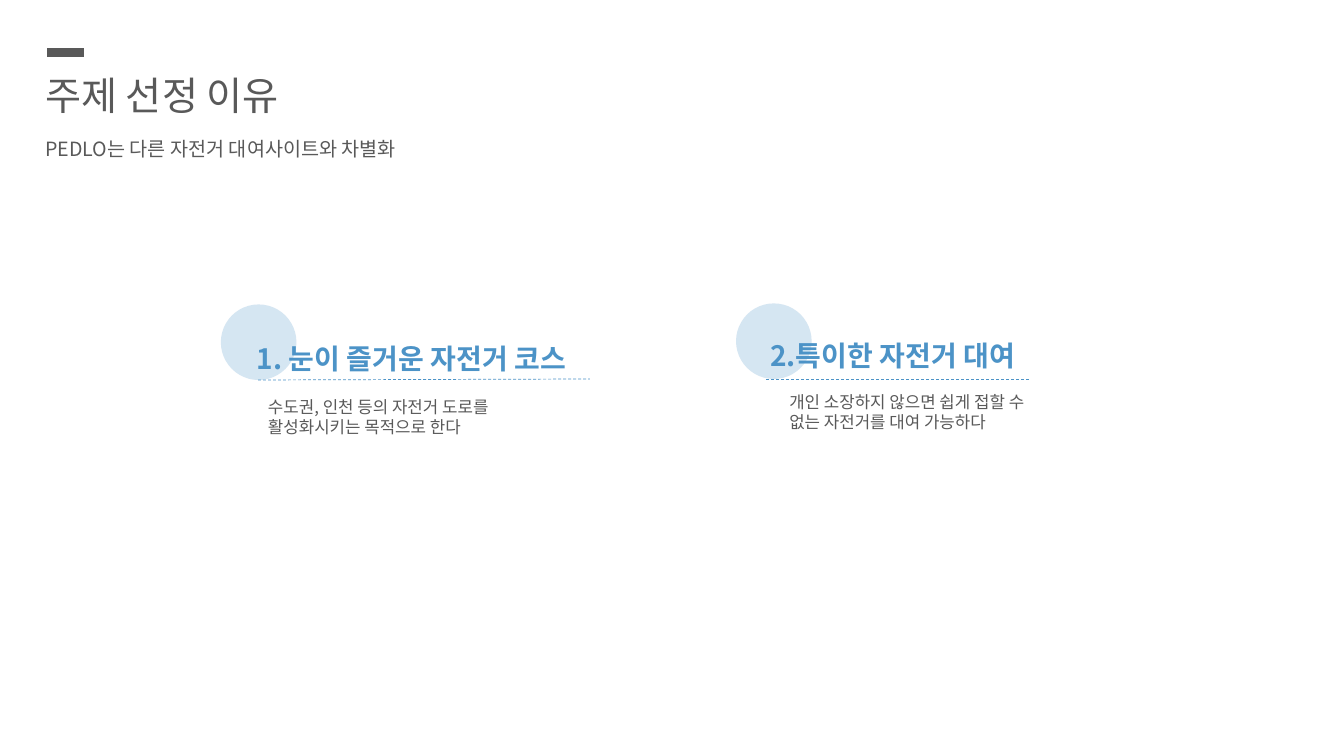
from pptx import Presentation
from pptx.dml.color import RGBColor
from pptx.enum.dml import MSO_LINE
from pptx.enum.shapes import MSO_CONNECTOR, MSO_SHAPE
from pptx.enum.text import MSO_AUTO_SIZE
from pptx.oxml.ns import qn
from pptx.util import Inches, Pt
from lxml.etree import SubElement

COLORS = {"gray": "595959", "blue": "4C93C7"}
FONT = "Noto Sans CJK KR"


def add_text(slide, box, text, size, color, bold=False):
    shape = slide.shapes.add_textbox(*map(Inches, box))
    frame = shape.text_frame
    frame.word_wrap = True
    frame.auto_size = MSO_AUTO_SIZE.SHAPE_TO_FIT_TEXT
    run = frame.paragraphs[0].add_run()
    run.text = text
    font = run.font
    font.size = Pt(size)
    font.bold = bold
    font.color.rgb = RGBColor.from_string(COLORS[color])
    font.name = FONT
    SubElement(run._r.get_or_add_rPr(), qn("a:ea"), typeface=FONT)


def add_line(slide, start, end, color, width, dash=None):
    line = slide.shapes.add_connector(
        MSO_CONNECTOR.STRAIGHT, *map(Inches, start + end))
    line.line.color.rgb = RGBColor.from_string(COLORS[color])
    line.line.width = Pt(width)
    if dash:
        line.line.dash_style = dash
    SubElement(line._element.spPr, qn("a:effectLst"))


def add_disc(slide, left, top):
    disc = slide.shapes.add_shape(
        MSO_SHAPE.OVAL, Inches(left), Inches(top), Inches(0.75), Inches(0.75))
    disc.shadow.inherit = False
    disc.fill.solid()
    disc.fill.fore_color.rgb = RGBColor.from_string(COLORS["blue"])
    color = disc._element.spPr.find(qn("a:solidFill"))[0]
    SubElement(color, qn("a:alpha"), val="23000")
    disc.line.fill.background()


def add_reason(slide, disc, head, title, body, text, start, end):
    add_disc(slide, *disc)
    add_text(slide, head, title, 20, "blue", True)
    add_text(slide, body, text, 12, "gray")
    add_line(slide, start, end, "blue", 0.5, MSO_LINE.DASH)


def main():
    deck = Presentation()
    deck.slide_width, deck.slide_height = Inches(13.33), Inches(7.5)
    slide = deck.slides.add_slide(deck.slide_layouts[6])
    add_text(slide, (0.35, 0.66, 5.67, 0.57), "주제 선정 이유", 28, "gray")
    add_line(slide, (0.47, 0.52), (0.83, 0.52), "gray", 6)
    add_reason(
        slide, (2.19, 3.02),
        (2.45, 3.34, 3.7, 0.44), "1. 눈이 즐거운 자전거 코스",
        (2.56, 3.89, 2.56, 0.5),
        "수도권, 인천 등의 자전거 도로를 활성화시키는 목적으로 한다",
        (2.56, 3.77), (5.85, 3.76))
    add_reason(
        slide, (7.3, 3.01),
        (7.54, 3.31, 3.43, 0.44), "2.특이한 자전거 대여",
        (7.73, 3.84, 2.56, 0.71),
        "개인 소장하지 않으면 쉽게 접할 수 없는 자전거를 대여 가능하다",
        (7.6, 3.76), (10.22, 3.76))
    add_text(slide, (0.35, 1.31, 5.67, 0.34),
             "PEDLO는 다른 자전거 대여사이트와 차별화", 14, "gray")
    deck.save("out.pptx")


if __name__ == "__main__":
    main()
